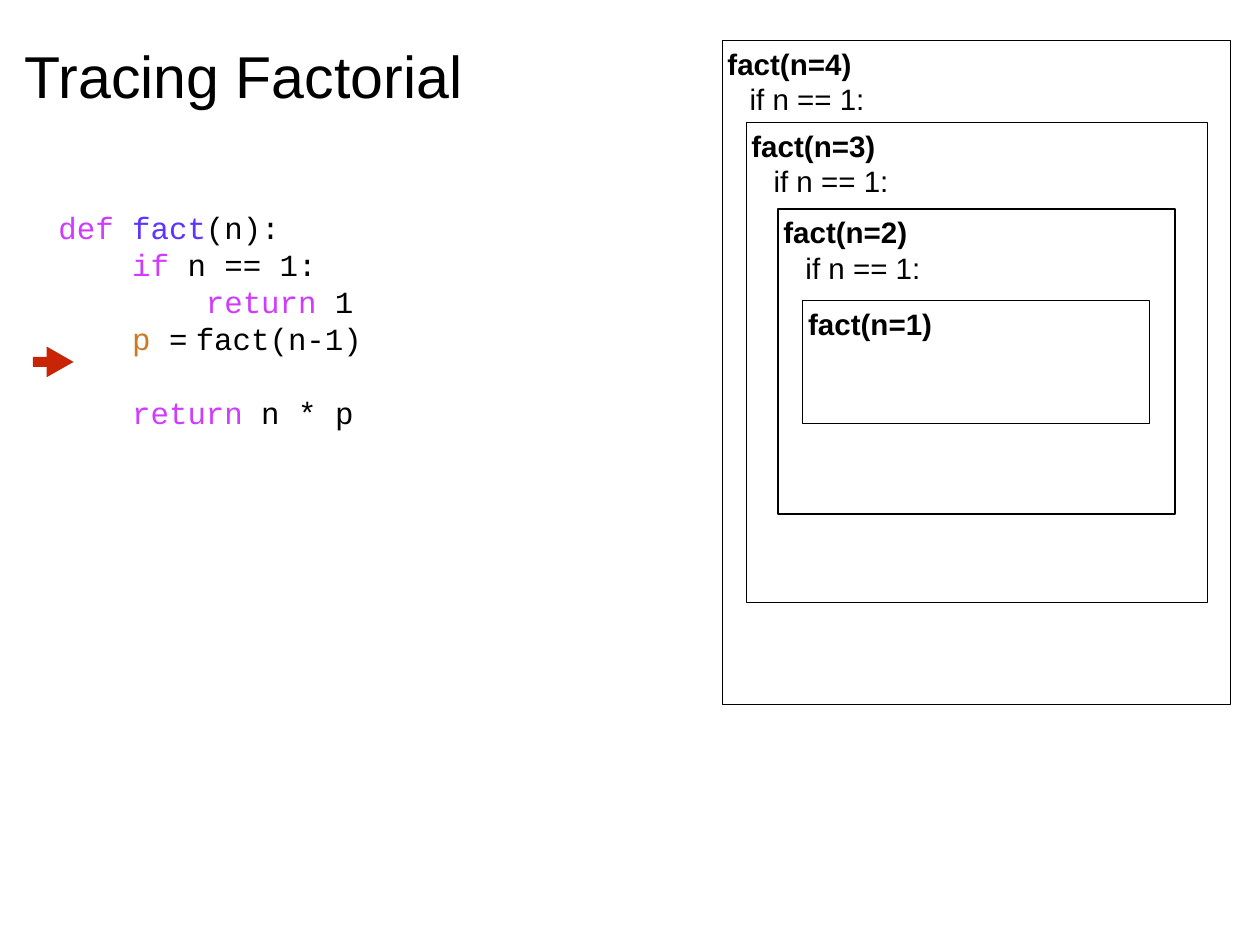
from pptx import Presentation
from pptx import util as u
from pptx.dml.color import RGBColor
from pptx.enum import shapes, text

BLACK = RGBColor(0x00, 0x00, 0x00)
WHITE = RGBColor(0xFF, 0xFF, 0xFF)
KEYWORD = RGBColor(0xD0, 0x3C, 0xFF)
FUNCTION = RGBColor(0x5E, 0x34, 0xFF)
VARIABLE = RGBColor(0xCD, 0x79, 0x23)
POINTER = RGBColor(0xC8, 0x25, 0x06)

CODE = [
    [("def ", KEYWORD), ("fact", FUNCTION), ("(n):", BLACK)],
    [("    ", BLACK), ("if", KEYWORD), (" n == 1:", BLACK)],
    [("        ", BLACK), ("return", KEYWORD), (" 1", BLACK)],
    [("    ", BLACK), ("p", VARIABLE), (" =\tfact(n-1)", BLACK)],
    [("    ", BLACK), ("return", KEYWORD), (" n * p", BLACK)],
]

CALLS = [
    (4, (36.68, 2.07, 25.83, 33.7), 1),
    (3, (37.9, 6.21, 23.45, 24.39), 1),
    (2, (39.52, 10.62, 20.16, 15.48), 2),
    (1, (40.78, 15.25, 17.6, 6.25), 1),
]


class TraceSlide:
    COLUMNS, ROWS = 64, 48
    BODY, MONO = "Arial", "Courier New"
    TITLE_SIZE, CALL_SIZE, CODE_SIZE = 48, 24, 25
    LEADING = 1.2

    def __init__(self, deck):
        self.column = deck.slide_width / self.COLUMNS
        self.row = deck.slide_height / self.ROWS
        self.slide = deck.slides.add_slide(deck.slide_layouts[6])

    def place(self, cells):
        left, top, width, height = cells
        return [round(n) for n in (left * self.column, top * self.row,
                                   width * self.column, height * self.row)]

    def frame(self, holder, anchor):
        frame = holder.text_frame
        frame.word_wrap = True
        frame.vertical_anchor = anchor
        frame.margin_left = frame.margin_right = u.Inches(0.06)
        frame.margin_top = frame.margin_bottom = u.Inches(0.06)
        return frame

    def style(self, run, face, size, color=BLACK, bold=False):
        run.font.name = face
        run.font.size = u.Pt(size)
        run.font.bold = bold
        run.font.color.rgb = color

    def textbox(self, cells):
        box = self.slide.shapes.add_textbox(*self.place(cells))
        return self.frame(box, text.MSO_ANCHOR.MIDDLE)

    def shape(self, kind, cells, fill):
        shape = self.slide.shapes.add_shape(kind, *self.place(cells))
        shape.shadow.inherit = False
        shape.fill.solid()
        shape.fill.fore_color.rgb = fill
        shape.line.fill.background()
        return shape

    def title(self, words, cells):
        heading = self.textbox(cells)
        heading.text = words
        self.style(heading.paragraphs[0].runs[0], self.BODY, self.TITLE_SIZE)

    def code(self, lines, cells):
        listing = self.textbox(cells)
        listing.auto_size = text.MSO_AUTO_SIZE.SHAPE_TO_FIT_TEXT
        leading = u.Pt(self.CODE_SIZE * self.LEADING)
        for number, tokens in enumerate(lines):
            line = listing.add_paragraph() if number else listing.paragraphs[0]
            line.line_spacing = leading
            properties = line._p.get_or_add_pPr()
            stops = properties.makeelement(properties.tag.replace("pPr", "tabLst"), {})
            stop = stops.makeelement(properties.tag.replace("pPr", "tab"),
                                     {"pos": str(u.Inches(1.55)), "algn": "l"})
            stops.append(stop)
            properties.append(stops)
            for token, color in tokens:
                run = line.add_run()
                run.text = token
                self.style(run, self.MONO, self.CODE_SIZE, color)
        line.space_before = leading

    def call(self, n, cells, weight):
        box = self.shape(shapes.MSO_SHAPE.RECTANGLE, cells, WHITE)
        box.line.color.rgb = BLACK
        box.line.width = u.Pt(weight)
        body = self.frame(box, text.MSO_ANCHOR.TOP)
        body.text = f"fact(n={n})" + ("\nif n == 1:" if n > 1 else "")
        for level, line in enumerate(body.paragraphs):
            line.level = level
            line.alignment = text.PP_ALIGN.LEFT
            line.line_spacing = u.Pt(self.CALL_SIZE * self.LEADING)
            properties = line._p.get_or_add_pPr()
            properties.set("marL", "0")
            properties.set("indent", str(u.Inches(0.25 * level)))
            self.style(line.runs[0], self.BODY, self.CALL_SIZE, bold=level == 0)

    def pointer(self, cells):
        arrow = self.shape(shapes.MSO_SHAPE.RIGHT_ARROW, cells, POINTER)
        arrow.adjustments[0] = 0.32
        arrow.adjustments[1] = 0.875


def main():
    deck = Presentation()
    deck.slide_width = u.Inches(14.22)
    deck.slide_height = u.Inches(10.67)
    trace = TraceSlide(deck)
    trace.title("Tracing Factorial", (0.99, 0.63, 29.16, 6.35))
    trace.code(CODE, (2.7, 11.47, 30.78, 9.54))
    for n, cells, weight in CALLS:
        trace.call(n, cells, weight)
    trace.pointer((1.67, 17.6, 2.07, 1.57))
    deck.save("out.pptx")


if __name__ == "__main__":
    main()
